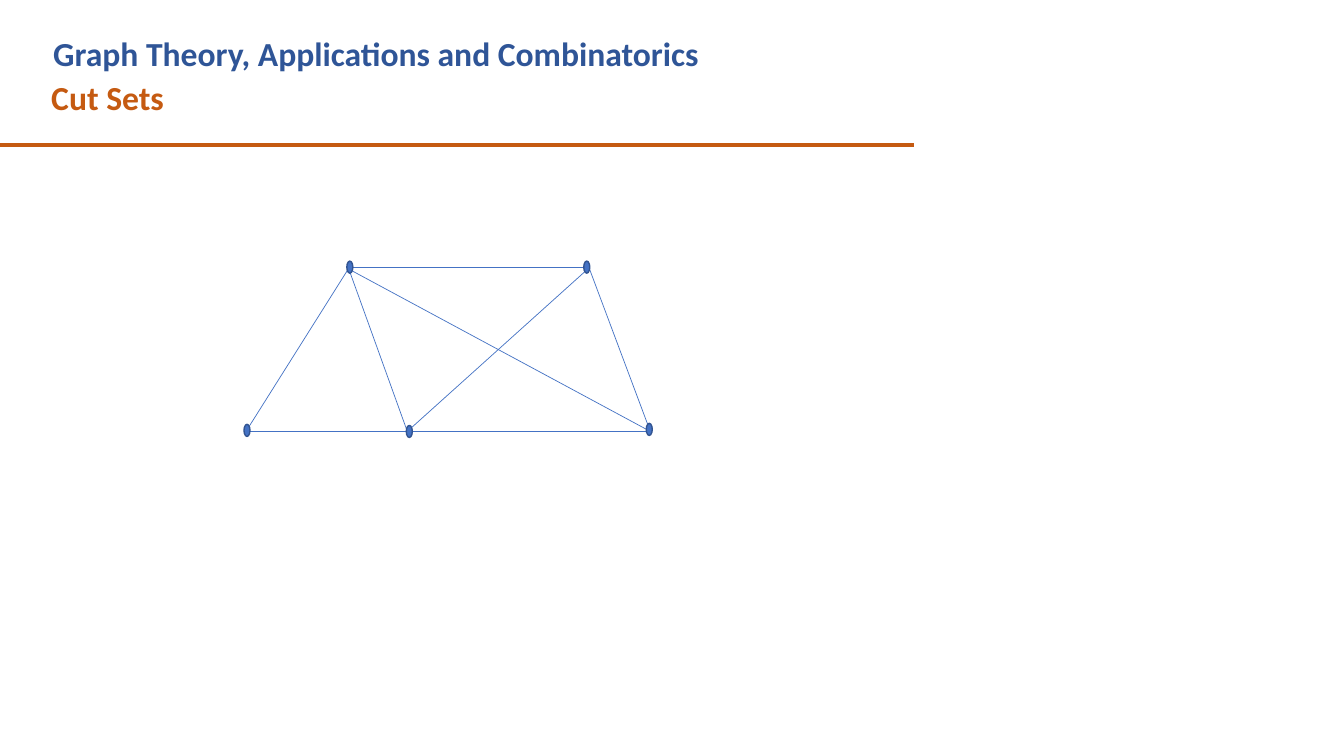
"""Build the Cut Sets slide with a five-node graph."""
from lxml import etree
from pptx import Presentation
from pptx.dml.color import RGBColor
from pptx.enum.shapes import MSO_CONNECTOR, MSO_SHAPE
from pptx.oxml.ns import qn
from pptx.util import Pt

PX = 9144
STRAIGHT = MSO_CONNECTOR.STRAIGHT
OVAL = MSO_SHAPE.OVAL
NAVY = RGBColor(0x2F, 0x55, 0x97)
RUST = RGBColor(0xC5, 0x5A, 0x11)
BLUE = RGBColor(0x44, 0x72, 0xC4)
RIM = RGBColor(0x32, 0x54, 0x91)

deck = Presentation()
deck.slide_width = 1333 * PX
deck.slide_height = 750 * PX
slide = deck.slides.add_slide(deck.slide_layouts[6])
shapes = slide.shapes


def add_line(start, end, color, width):
    ends = [n * PX for n in (*start, *end)]
    line = shapes.add_connector(STRAIGHT, *ends)
    line.line.color.rgb = color
    line.line.width = Pt(width)
    etree.SubElement(line._element.spPr, qn("a:effectLst"))


def add_title(text, left, top, width, color):
    box = shapes.add_textbox(left * PX, top * PX, width * PX, 50 * PX)
    frame = box.text_frame
    frame.word_wrap = True
    para = frame.paragraphs[0]
    para.text = text
    para.font.name = "Calibri"
    para.font.size = Pt(24)
    para.font.bold = True
    para.font.color.rgb = color


add_title("Cut Sets", 41, 71, 875, RUST)
add_line((-1, 144), (907, 144), RUST, 3)
add_title("Graph Theory, Applications and Combinatorics", 43, 28, 820, NAVY)

edges = [
    ((346, 265), (584, 265)),
    ((346, 267), (404, 428)),
    ((584, 265), (645, 428)),
    ((404, 428), (645, 428)),
    ((404, 428), (247, 428)),
    ((346, 266), (244, 428)),
    ((346, 267), (645, 428)),
    ((404, 428), (584, 266)),
]
for start, end in edges:
    add_line(start, end, BLUE, 0.5)

nodes = [(344, 259), (579, 259), (403, 422), (242, 421), (641, 420)]
for left, top in nodes:
    node = shapes.add_shape(OVAL, left * PX, top * PX, 6 * PX, 12 * PX)
    node.shadow.inherit = False
    node.fill.solid()
    node.fill.fore_color.rgb = BLUE
    node.line.color.rgb = RIM
    node.line.width = Pt(1)

deck.save("out.pptx")
